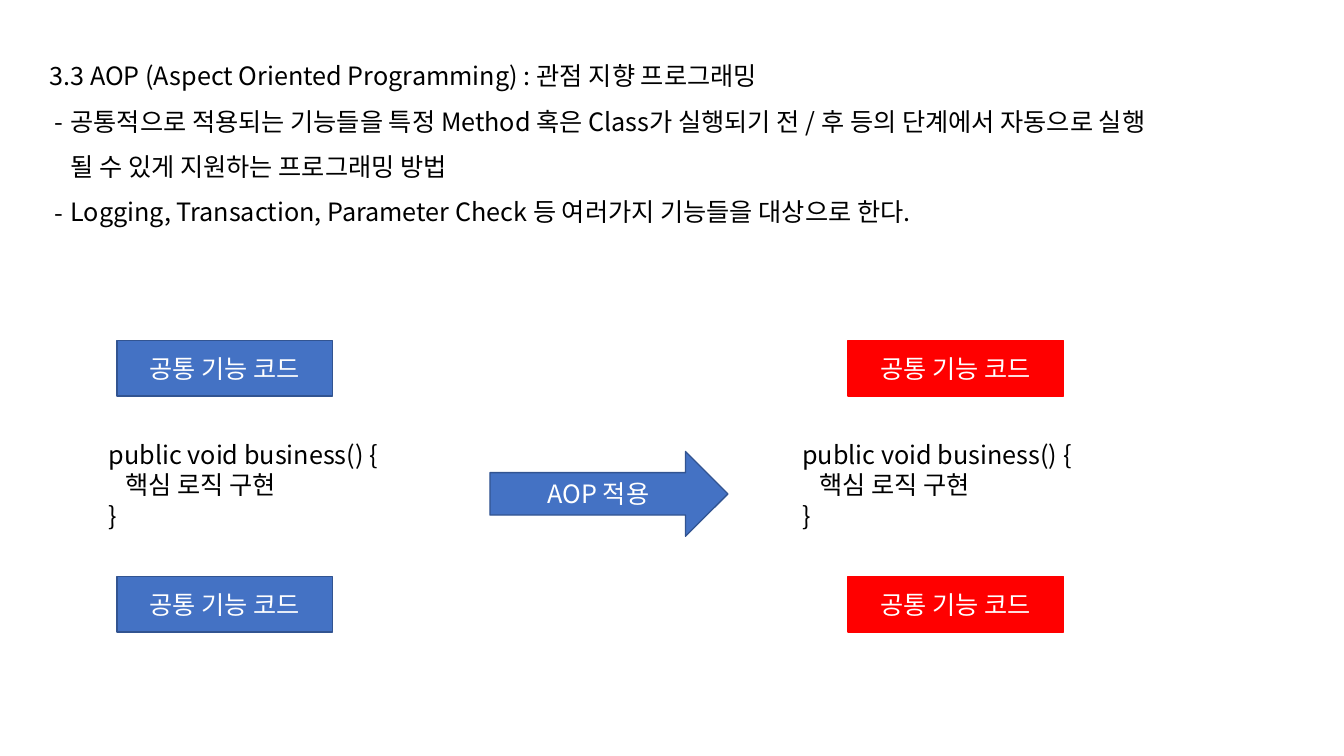
"""Build a slide that shows how AOP moves common code out of business logic."""
from lxml import etree
from pptx import Presentation
from pptx.dml.color import RGBColor
from pptx.enum.shapes import MSO_SHAPE
from pptx.enum.text import MSO_ANCHOR, MSO_AUTO_SIZE, PP_ALIGN
from pptx.oxml.ns import qn
from pptx.util import Inches, Pt

BLACK = RGBColor(0x00, 0x00, 0x00)
WHITE = RGBColor(0xFF, 0xFF, 0xFF)
BLUE = RGBColor(0x44, 0x72, 0xC4)
DARK_BLUE = RGBColor(0x32, 0x54, 0x91)
RED = RGBColor(0xFF, 0x00, 0x00)
RECTANGLE, RIGHT_ARROW = MSO_SHAPE.RECTANGLE, MSO_SHAPE.RIGHT_ARROW
TOP, MIDDLE = MSO_ANCHOR.TOP, MSO_ANCHOR.MIDDLE
LEFT, CENTER = PP_ALIGN.LEFT, PP_ALIGN.CENTER
NO_AUTOFIT = MSO_AUTO_SIZE.NONE

FONT = "Noto Sans CJK KR"
MARGIN, TEXT_WIDTH = 0.39, 12.35
TITLE_TOP, LINE_PITCH = 0.4, 0.45
BLOCK_WIDTH, BLOCK_HEIGHT = 2.14, 0.55
BLOCK_ROWS = (3.38, 5.72)
CODE_TOP = 4.31


def write(holder, text, color, align, anchor, spacing=1.0):
    frame = holder.text_frame
    frame.text = text
    frame.word_wrap = True
    frame.auto_size = NO_AUTOFIT
    frame.vertical_anchor = anchor
    for paragraph in frame.paragraphs:
        paragraph.alignment = align
        paragraph.line_spacing = spacing
        paragraph.space_before = Pt(0)
        for run in paragraph.runs:
            run.font.size = Pt(18)
            run.font.name = FONT
            run.font.color.rgb = color
            etree.SubElement(run.font._element, qn("a:ea"), typeface=FONT)


def add_block(preset, left, top, width, height, text, fill, line):
    block = slide.shapes.add_shape(
        preset, Inches(left), Inches(top), Inches(width), Inches(height))
    block.shadow.inherit = False
    block.fill.solid()
    block.fill.fore_color.rgb = fill
    block.line.color.rgb = line
    block.line.width = Pt(1)
    write(block, text, WHITE, CENTER, MIDDLE)


prs = Presentation()
prs.slide_width, prs.slide_height = Inches(13.33), Inches(7.5)
slide = prs.slides.add_slide(prs.slide_layouts[1])

heading = slide.shapes.title
definition = slide.placeholders[1]
for holder, top, lines in ((heading, TITLE_TOP, 1), (definition, TITLE_TOP + LINE_PITCH, 3)):
    holder.left, holder.top = Inches(MARGIN), Inches(top)
    holder.width, holder.height = Inches(TEXT_WIDTH), Inches(lines * LINE_PITCH + 0.1)

write(heading, "3.3 AOP (Aspect Oriented Programming) : 관점 지향 프로그래밍",
      BLACK, LEFT, TOP, 1.5)
write(definition,
      "공통적으로 적용되는 기능들을 특정 Method 혹은 Class가 실행되기 전 / 후 등의 단계에서 자동으로 실행\v"
      "될 수 있게 지원하는 프로그래밍 방법\n"
      "Logging, Transaction, Parameter Check 등 여러가지 기능들을 대상으로 한다.",
      BLACK, LEFT, TOP, 1.5)
for point in definition.text_frame.paragraphs:
    properties = point._p.get_or_add_pPr()
    properties.set("marL", str(Inches(0.21)))
    properties.set("indent", str(Inches(-0.16)))
    etree.SubElement(properties, qn("a:buFont"), typeface=FONT)
    etree.SubElement(properties, qn("a:buChar"), char="-")
    for line_break in point._p.findall(qn("a:br")):
        etree.SubElement(line_break, qn("a:rPr"), sz="1800")

for block_left, code_left, fill, line in ((1.16, 0.98, BLUE, DARK_BLUE), (8.41, 7.86, RED, RED)):
    for block_top in BLOCK_ROWS:
        add_block(RECTANGLE, block_left, block_top, BLOCK_WIDTH, BLOCK_HEIGHT,
                  "공통 기능 코드", fill, line)
    business_code = slide.shapes.add_textbox(
        Inches(code_left), Inches(CODE_TOP), Inches(2.9), Inches(1.01))
    write(business_code, "public void business() {\n   핵심 로직 구현\n}", BLACK, LEFT, TOP)

add_block(RIGHT_ARROW, 4.86, 4.48, 2.36, 0.84, "AOP 적용", BLUE, DARK_BLUE)

prs.save("out.pptx")
